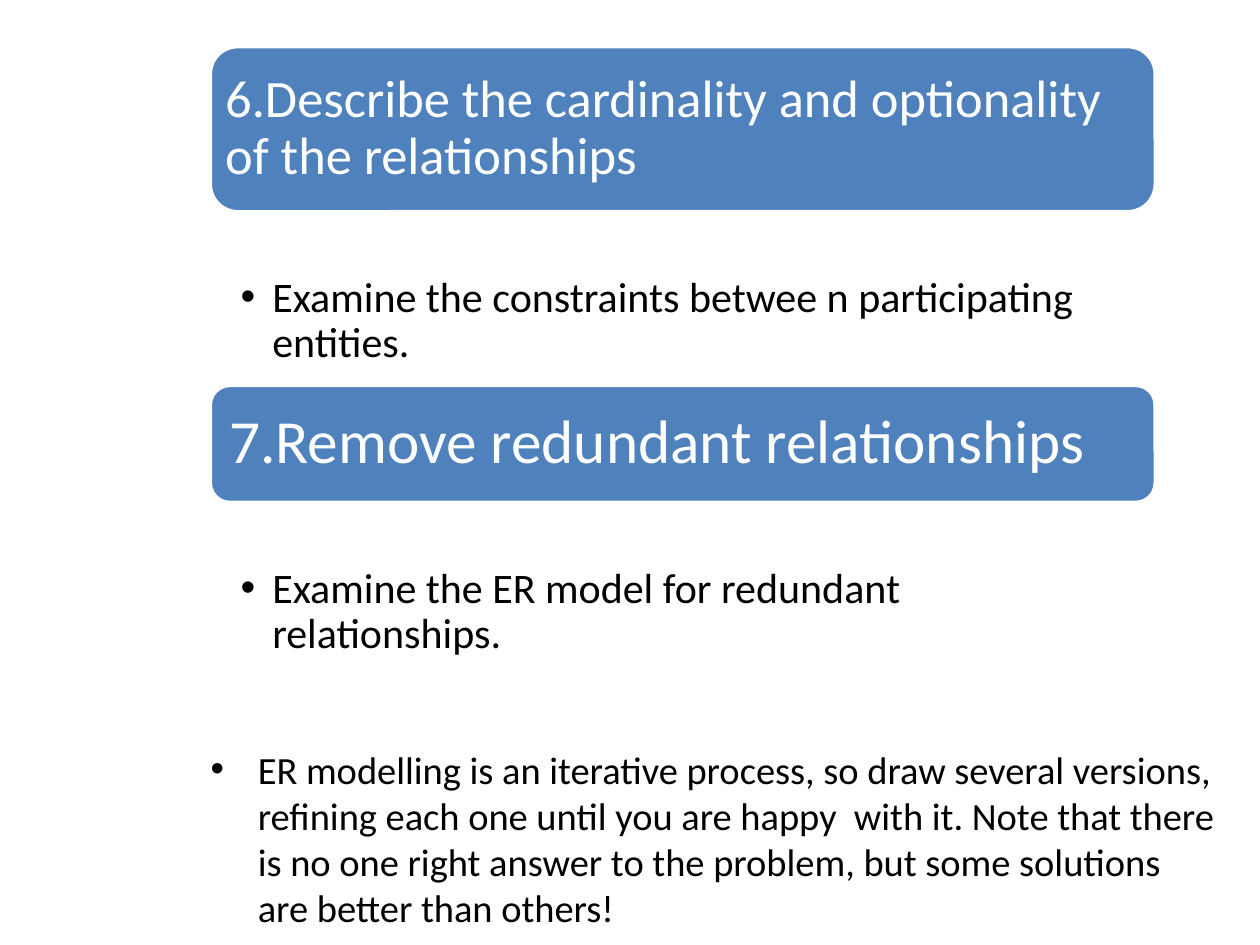
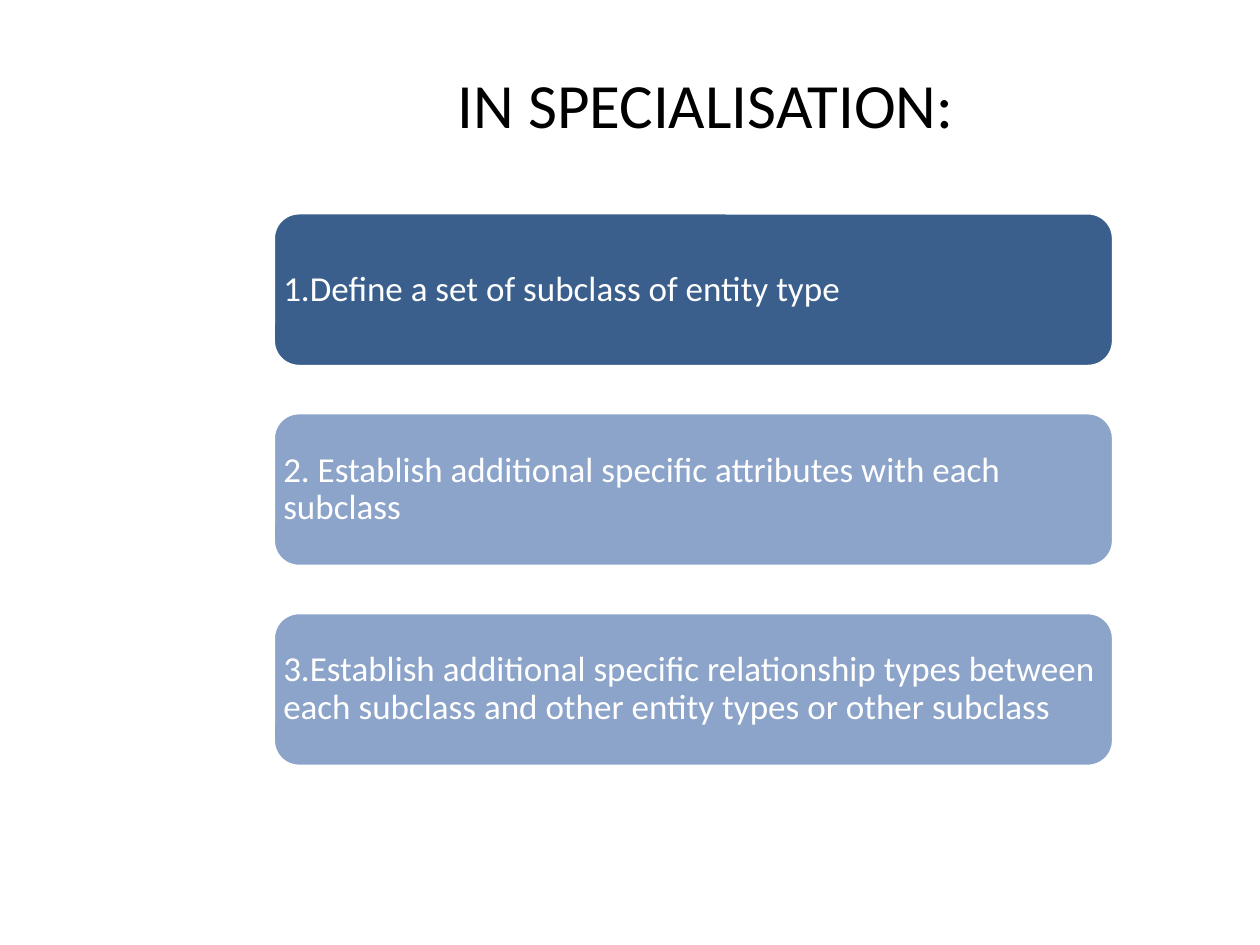
from dataclasses import dataclass

import lxml.etree
import pptx
import pptx.dml.color
import pptx.enum.shapes
import pptx.enum.text
import pptx.oxml.ns
import pptx.util
from pptx.util import Cm

FONT = "Calibri"
WHITE, BLACK = "FFFFFF", "000000"
BLUE, DARK_BLUE, PALE_BLUE = "4F81BD", "3A5F8C", "8CA4C9"
CORNER = 0.16667  # corner radius as a share of the band height
CORNER_INSET = 0.29 * CORNER  # text inset the rounded corners add

ALIGN = pptx.enum.text.PP_ALIGN
ANCHOR = pptx.enum.text.MSO_ANCHOR


@dataclass
class Area:
    """A rectangle in centimetres."""
    left: float
    top: float
    width: float
    height: float

    def lengths(self) -> tuple:
        return tuple(Cm(v) for v in (self.left, self.top, self.width, self.height))


@dataclass
class Band:
    text: str
    area: Area
    fill: str
    size: int
    inset: float


@dataclass
class Step:
    """A heading band with one bulleted detail under it."""
    band: Band
    detail: str


STEPS = [
    Step(Band("6.Describe the cardinality and optionality of the relationships",
              Area(4.24, 0.94, 19.05, 3.33), BLUE, 30, 0.3),
         "Examine the constraints betwee n participating entities."),
    Step(Band("7.Remove redundant relationships",
              Area(4.24, 7.77, 19.05, 2.36), BLUE, 35, 0.38),
         "Examine the ER model for redundant relationships."),
]
DETAIL_HEIGHT = 3.56
ADVICE = ("ER modelling is an iterative process, so draw several versions, "
          "refining each one until you are happy  with it. Note that there is "
          "no one right answer to the problem, but some solutions are better "
          "than others!")

SPECIALISATION = [
    ("1.Define a set of subclass of entity type", DARK_BLUE),
    ("2. Establish additional specific attributes with each subclass", PALE_BLUE),
    ("3.Establish additional specific relationship types between each subclass "
     "and other entity types or other subclass", PALE_BLUE),
]
FIRST_BAND = Area(5.51, 4.29, 16.94, 3.1)
BAND_PITCH = 4.03


def rgb(colour: str) -> pptx.dml.color.RGBColor:
    return pptx.dml.color.RGBColor.from_string(colour)


def apply(target, values: dict) -> None:
    for name, value in values.items():
        setattr(target, name, value)


def place(box, area: Area) -> None:
    apply(box, dict(zip(("left", "top", "width", "height"), area.lengths())))


def write(box, text: str, size: int, colour: str, frame: dict, layout: dict):
    """Put one formatted paragraph in the box and return it."""
    apply(box.text_frame, {"word_wrap": True,
                           "auto_size": pptx.enum.text.MSO_AUTO_SIZE.NONE, **frame})
    para = box.text_frame.paragraphs[0]
    apply(para, layout)
    span = para.add_run()
    span.text = text
    apply(span.font, {"name": FONT, "size": pptx.util.Pt(size)})
    span.font.color.rgb = rgb(colour)
    return para


def margins(left: float, top: float, right: float, bottom: float) -> dict:
    return {"margin_left": Cm(left), "margin_top": Cm(top),
            "margin_right": Cm(right), "margin_bottom": Cm(bottom)}


def add_band(page, band: Band) -> None:
    box = page.shapes.add_shape(pptx.enum.shapes.MSO_SHAPE.ROUNDED_RECTANGLE,
                                *band.area.lengths())
    box.adjustments[0] = CORNER
    box.shadow.inherit = False
    box.fill.solid()
    box.fill.fore_color.rgb = rgb(band.fill)
    box.line.color.rgb = rgb(WHITE)
    box.line.width = pptx.util.Pt(2)
    inset = band.inset - CORNER_INSET * band.area.height
    write(box, band.text, band.size, WHITE,
          {"vertical_anchor": ANCHOR.MIDDLE, **margins(*[inset] * 4)},
          {"alignment": ALIGN.LEFT, "line_spacing": 0.9})


def add_bullet(para, indent: float) -> None:
    properties = para._p.get_or_add_pPr()
    properties.set("marL", str(Cm(indent)))
    properties.set("indent", str(-Cm(indent)))
    for tag, name, value in (("a:buFont", "typeface", "Arial"),
                             ("a:buChar", "char", "•")):
        bullet = lxml.etree.SubElement(properties, pptx.oxml.ns.qn(tag))
        bullet.set(name, value)


def add_step(page, step: Step) -> None:
    add_band(page, step.band)
    area = step.band.area
    below = Area(area.left, area.top + area.height, area.width, DETAIL_HEIGHT)
    box = page.shapes.add_textbox(*below.lengths())
    para = write(box, step.detail, 24, BLACK, margins(0.61, 1.3, 0.48, 0.08),
                 {"line_spacing": 0.9})
    add_bullet(para, 0.64)


def build_steps_page(deck) -> None:
    page = deck.slides.add_slide(deck.slide_layouts.get_by_name("Title and Content"))
    title = page.shapes.title
    title.element.getparent().remove(title.element)
    body = page.placeholders[1]
    place(body, Area(3.99, 4.01, 20.83, 14.4))
    write(body, ADVICE, 22, BLACK, {"margin_top": Cm(11.02)},
          {"space_before": pptx.util.Pt(0)})
    for step in STEPS:
        add_step(page, step)


def build_specialisation_page(deck) -> None:
    page = deck.slides.add_slide(deck.slide_layouts.get_by_name("Title Only"))
    title = page.shapes.title
    place(title, Area(3.81, 1.19, 20.83, 1.78))
    write(title, "IN SPECIALISATION:", 36, BLACK,
          {"vertical_anchor": ANCHOR.MIDDLE}, {"alignment": ALIGN.CENTER})
    for row, (text, fill) in enumerate(SPECIALISATION):
        area = Area(FIRST_BAND.left, FIRST_BAND.top + row * BAND_PITCH,
                    FIRST_BAND.width, FIRST_BAND.height)
        add_band(page, Band(text, area, fill, 20, 0.2))


def main() -> None:
    deck = pptx.Presentation()
    apply(deck, {"slide_width": Cm(25.4), "slide_height": Cm(19.05)})
    build_steps_page(deck)
    build_specialisation_page(deck)
    deck.save("out.pptx")


if __name__ == "__main__":
    main()
